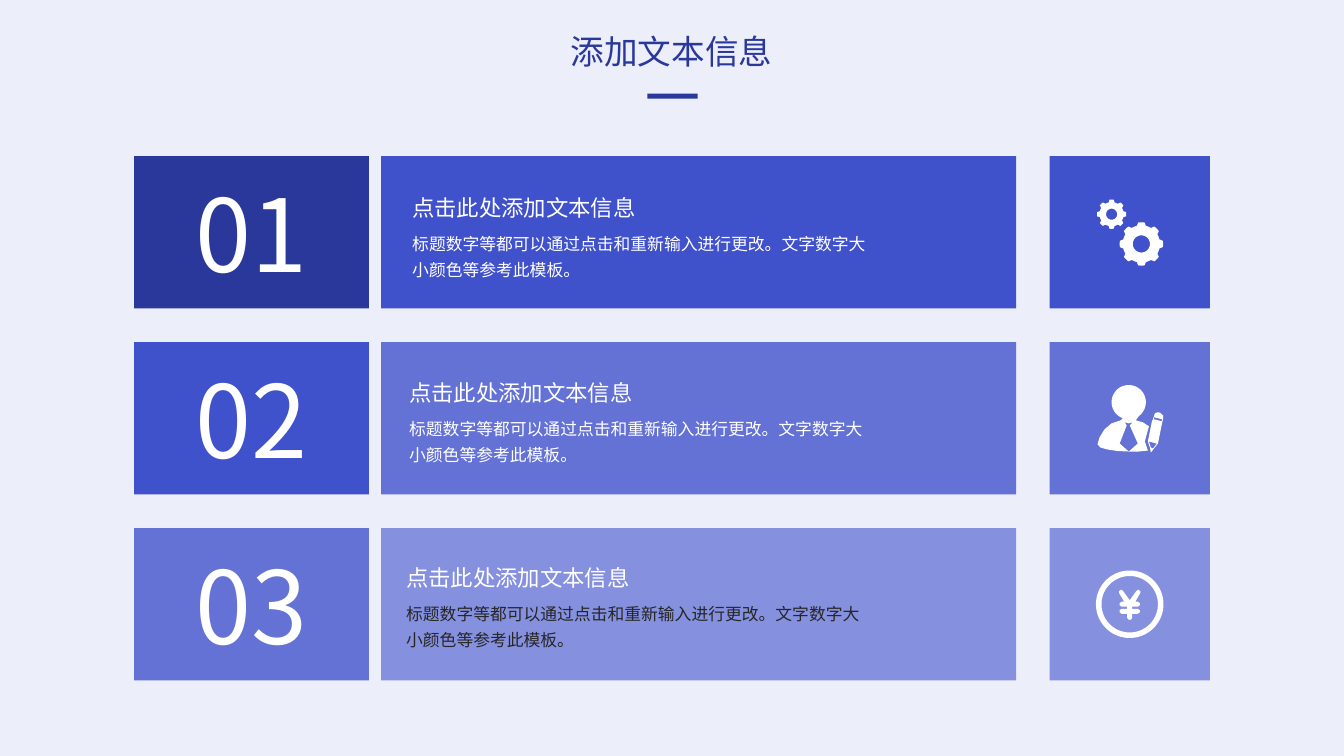
import math
from lxml import etree
from pptx import Presentation
from pptx import util as u
from pptx.dml.color import RGBColor
from pptx.enum import shapes, text
from pptx.oxml import ns

BACKGROUND = RGBColor(0xEC, 0xEE, 0xFA)
NAVY = RGBColor(0x2A, 0x38, 0x9C)
BLUE = RGBColor(0x40, 0x51, 0xCC)
PERIWINKLE = RGBColor(0x64, 0x72, 0xD6)
LAVENDER = RGBColor(0x85, 0x90, 0xDF)
WHITE = RGBColor(0xFF, 0xFF, 0xFF)
DARK = RGBColor(0x26, 0x26, 0x26)
HEADING_FONT = "Noto Sans CJK JP"
BODY_FONT = "Noto Sans CJK SC"

FIRST_ROW, ROW_PITCH, ROW_HEIGHT = 1.55, 1.845, 1.51
NUMBER_COLUMN, TEXT_COLUMN, ICON_COLUMN = (1.33, 2.33), (3.78, 6.3), (10.41, 1.59)
STEPS = 64


def write(shape, box, words, size, font, color, align, wrap=True):
    shape.left, shape.top, shape.width, shape.height = [u.Inches(length) for length in box]
    frame = shape.text_frame
    frame.text = words
    frame.word_wrap = wrap
    frame.auto_size = text.MSO_AUTO_SIZE.SHAPE_TO_FIT_TEXT
    frame.vertical_anchor = text.MSO_ANCHOR.TOP
    paragraph = frame.paragraphs[0]
    paragraph.alignment = align
    run = paragraph.runs[0]
    run.font.size = u.Pt(size)
    run.font.color.rgb = color
    run.font.name = font
    properties = run._r.get_or_add_rPr()
    etree.SubElement(properties, ns.qn("a:ea"), typeface=font)
    return paragraph


def outline(x, y, radii):
    return [(x + radius * math.cos(math.tau * (step - 1.5) / STEPS),
             y + radius * math.sin(math.tau * (step - 1.5) / STEPS))
            for step, radius in enumerate(radii)]


gears = []
for x, y, tooth, body, hole in [(11.5, 11.5, 21.5, 18.5, 8.5), (-18, -18, 14.5, 12, 5.5)]:
    gears += [outline(x, y, ([tooth] * 4 + [body] * 4) * 8), outline(x, y, [hole] * STEPS)]

head = (outline(-1, -16, [17] * STEPS) * 2)[21:76]
person = [
    head + [(6, 2), (13, 4), (19, 8), (15, 23), (18, 32), (9, 33), (-1, 33), (8, 25),
            (0, 7), (3, 4), (-1, 5), (-5, 4), (-3, 7), (-10, 25), (-1, 33), (-12, 32.5),
            (-22, 31), (-29, 29), (-32, 26), (-30, 19), (-25, 11), (-18, 5), (-9, 2)],
    [(28, -6), (30, -5.5), (33, -3), (33, 1), (32, 5), (28, 25), (24, 30), (21, 34),
     (20, 29), (18, 23), (22, 3), (23, 1), (24, -2), (25, -5)],
    [(24, -1), (24, 1), (32, 3), (32, 1)],
    [(19, 23), (21, 29), (23, 30), (27, 25), (26, 25)],
]

half_yen = [(0, -4), (6.5, -13), (8.5, -14.5), (10.5, -13), (10.5, -11), (5.5, -2.5),
            (8, -2.5), (10, -1), (10, 1), (8, 2.5), (2.5, 2.5), (2.5, 4.5), (8, 4.5),
            (10, 6), (10, 8), (8, 9.5), (2.5, 9.5), (2.5, 13.5), (1.5, 15), (0, 15.5)]
coin = [outline(0, 0, [33.5] * STEPS), outline(0, 0, [28] * STEPS),
        half_yen + [(-x, y) for x, y in reversed(half_yen)]]

presentation = Presentation()
presentation.slide_width = u.Inches(13.33)
presentation.slide_height = u.Inches(7.5)
slide = presentation.slides.add_slide(presentation.slide_layouts[5])
slide.background.fill.solid()
slide.background.fill.fore_color.rgb = BACKGROUND
write(slide.shapes.title, (5.48, 0.26, 2.36, 0.5), "添加文本信息", 24,
      HEADING_FONT, NAVY, text.PP_ALIGN.CENTER)

rows = [
    ("01", NAVY, BLUE, WHITE, gears),
    ("02", BLUE, PERIWINKLE, WHITE, person),
    ("03", PERIWINKLE, LAVENDER, DARK, coin),
]
blocks = [((6.42, 0.93, 0.5, 0.05), NAVY)]
for index, (number, number_fill, row_fill, body_color, icon) in enumerate(rows):
    top = FIRST_ROW + index * ROW_PITCH
    for (left, width), fill in [(NUMBER_COLUMN, number_fill), (TEXT_COLUMN, row_fill),
                                (ICON_COLUMN, row_fill)]:
        blocks.append(((left, top, width, ROW_HEIGHT), fill))

for box, fill in blocks:
    block = slide.shapes.add_shape(shapes.MSO_SHAPE.RECTANGLE, *[u.Inches(length) for length in box])
    block.shadow.inherit = False
    block.fill.solid()
    block.fill.fore_color.rgb = fill
    block.line.fill.background()

for index, (number, number_fill, row_fill, body_color, icon) in enumerate(rows):
    top = FIRST_ROW + index * ROW_PITCH
    text_left = 3.99 - 0.03 * index
    heading_top = 1.88 + 1.835 * index
    for box, words, size, font, color, align, wrap, spacing in [
        ((1.75, top + 0.1, 1.49, 1.31), number, 72, BODY_FONT, WHITE,
         text.PP_ALIGN.CENTER, False, None),
        ((text_left, heading_top + 0.33, 4.85, 0.6),
         "标题数字等都可以通过点击和重新输入进行更改。文字数字大小颜色等参考此模板。",
         12, BODY_FONT, body_color, text.PP_ALIGN.LEFT, True, 1.3),
        ((text_left, heading_top, 3.57, 0.37), "点击此处添加文本信息",
         16, HEADING_FONT, WHITE, text.PP_ALIGN.LEFT, True, None),
    ]:
        text_box = slide.shapes.add_textbox(0, 0, 0, 0)
        write(text_box, box, words, size, font, color, align, wrap).line_spacing = spacing

    center_x = ICON_COLUMN[0] + ICON_COLUMN[1] / 2
    center_y = top + ROW_HEIGHT / 2
    contours = [[(u.Inches(center_x + x / 100), u.Inches(center_y + y / 100)) for x, y in contour]
                for contour in icon]
    builder = slide.shapes.build_freeform(*contours[0][0])
    builder.add_line_segments(contours[0][1:])
    for contour in contours[1:]:
        builder.move_to(*contour[0])
        builder.add_line_segments(contour[1:])
    symbol = builder.convert_to_shape()
    symbol.shadow.inherit = False
    symbol.fill.solid()
    symbol.fill.fore_color.rgb = WHITE
    symbol.line.fill.background()

presentation.save("out.pptx")
